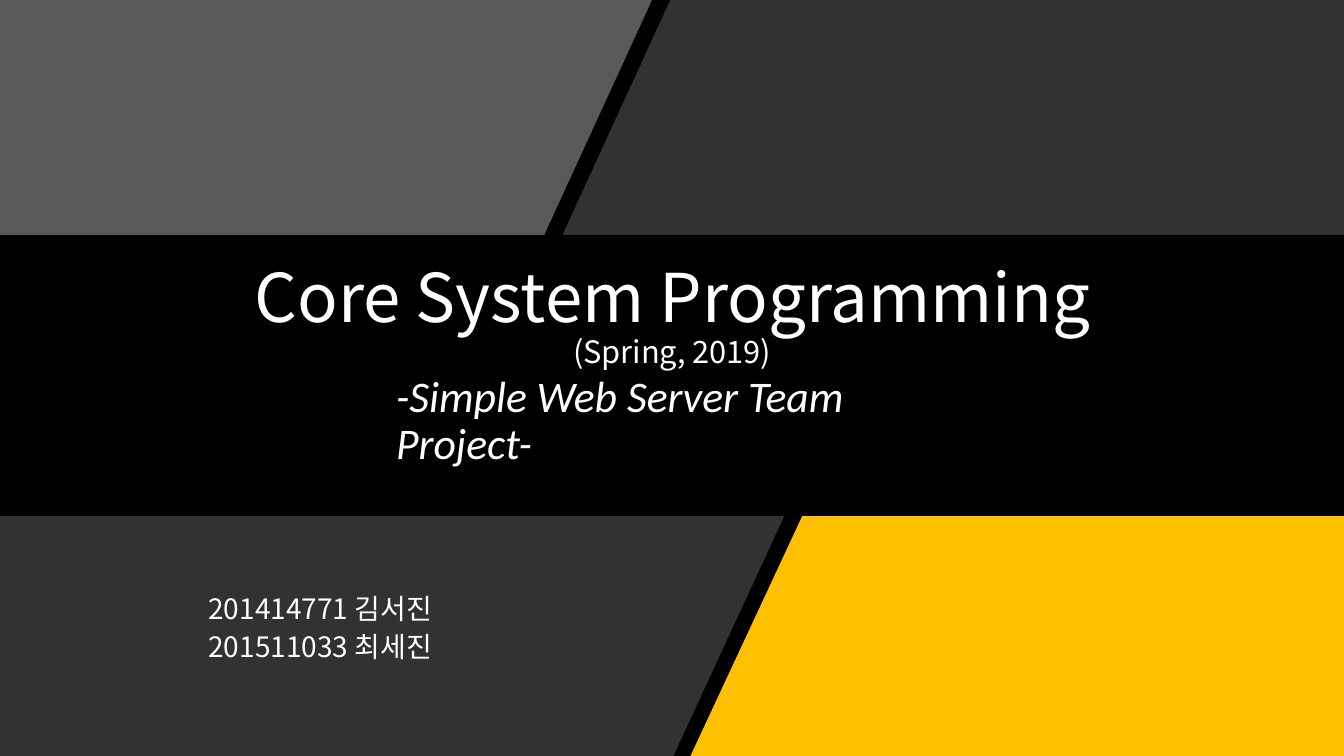
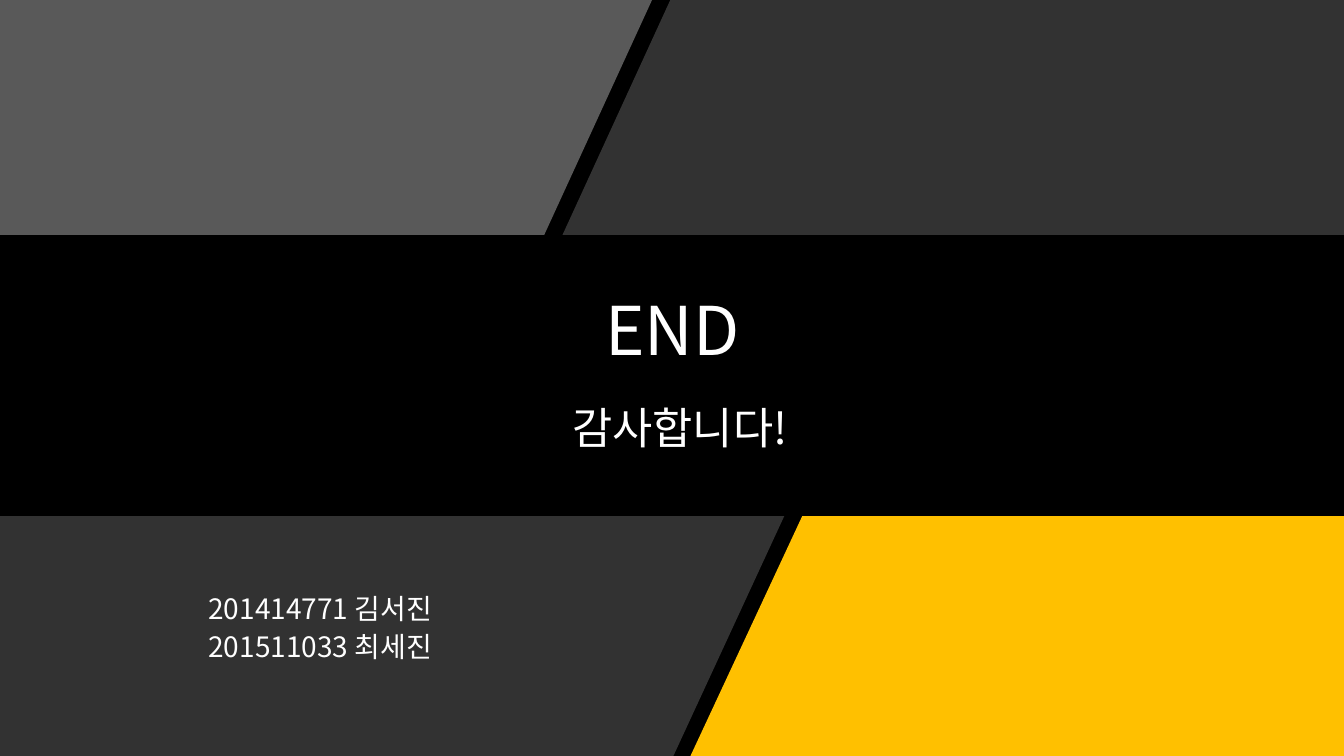
"""Build the opening and closing slides of a Core System Programming project deck."""
from lxml import etree
from pptx import Presentation
from pptx.dml.color import RGBColor
from pptx.enum.text import MSO_ANCHOR, PP_ALIGN
from pptx.oxml.ns import qn
from pptx.util import Pt

LEFT, CENTER = PP_ALIGN.LEFT, PP_ALIGN.CENTER
TOP, BOTTOM = MSO_ANCHOR.TOP, MSO_ANCHOR.BOTTOM
COLORS = {
    "background": "000000",
    "text": "FFFFFF",
    "gray": "595959",
    "veil": "7F7F7F",
    "accent": "FFC000",
}
KOREAN_FONT = "Noto Sans CJK KR"
WIDTH, HEIGHT = 960, 540
BAND_TOP, BAND_BOTTOM = 167.8, 368.6

PANELS = [
    ("gray", 100, [(0, 0), (465.8, 0), (388.8, BAND_TOP), (0, BAND_TOP)]),
    ("veil", 40, [(478.8, 0), (WIDTH, 0), (WIDTH, BAND_TOP), (401.8, BAND_TOP)]),
    ("accent", 100, [(573.1, BAND_BOTTOM), (WIDTH, BAND_BOTTOM), (WIDTH, HEIGHT), (493.2, HEIGHT)]),
    ("veil", 40, [(0, BAND_BOTTOM), (560.2, BAND_BOTTOM), (481, HEIGHT), (0, HEIGHT)]),
]
AUTHORS = [[("201414771 김서진", 20)], [("201511033 최세진", 20)]]
SLIDES = [
    {
        "title": [("Core System Programming", 48), ("(Spring, 2019)", 22)],
        "subtitle": "-Simple Web Server Team Project-",
        "subtitle_box": (275.8, 267.8, 432, 70.6),
        "subtitle_format": {"font": "Calibri", "italic": True},
    },
    {
        "title": [("END", 48)],
        "subtitle": "감사합니다!",
        "subtitle_box": (401.8, 257, 193.7, 70.6),
        "subtitle_format": {},
    },
]


def add_text(slide, box, paragraphs, font=KOREAN_FONT, italic=False, align=LEFT,
             anchor=BOTTOM, line_spacing=0.9, space_before=0):
    frame = slide.shapes.add_textbox(*(Pt(length) for length in box)).text_frame
    frame.word_wrap = True
    frame.vertical_anchor = anchor
    for number, lines in enumerate(paragraphs):
        paragraph = frame.add_paragraph() if number else frame.paragraphs[0]
        paragraph.alignment = align
        paragraph.line_spacing = line_spacing
        if number:
            paragraph.space_before = Pt(space_before)
        for position, (text, size) in enumerate(lines):
            if position:
                paragraph.add_line_break()
            run = paragraph.add_run()
            run.text = text
            run.font.size = Pt(size)
            run.font.italic = italic
            run.font.color.rgb = RGBColor.from_string(COLORS["text"])
            run.font.name = font
            east_asian = etree.SubElement(run.font._element, qn("a:ea"))
            east_asian.set("typeface", font)


def add_panel(slide, color, opacity, corners):
    points = [(Pt(x), Pt(y)) for x, y in corners]
    outline = slide.shapes.build_freeform(*points[0])
    outline.add_line_segments(points[1:], close=True)
    panel = outline.convert_to_shape()
    panel.shadow.inherit = False
    panel.line.fill.background()
    panel.fill.solid()
    panel.fill.fore_color.rgb = RGBColor.from_string(COLORS[color])
    if opacity < 100:
        fill_color = panel._element.spPr.find(qn("a:solidFill"))[0]
        etree.SubElement(fill_color, qn("a:alpha")).set("val", str(opacity * 1000))


deck = Presentation()
deck.slide_width, deck.slide_height = Pt(WIDTH), Pt(HEIGHT)
backdrop = deck.slide_master.background.fill
backdrop.solid()
backdrop.fore_color.rgb = RGBColor.from_string(COLORS["background"])

for content in SLIDES:
    slide = deck.slides.add_slide(deck.slide_layouts[6])
    for color, opacity, corners in PANELS:
        add_panel(slide, color, opacity, corners)
    add_text(slide, (157.7, 180.7, 645.1, 87.1), [content["title"]], align=CENTER)
    add_text(slide, content["subtitle_box"], [[(content["subtitle"], 31.2)]],
             **content["subtitle_format"])
    add_text(slide, (141.8, 423.4, 182.2, 61.2), AUTHORS, anchor=TOP,
             line_spacing=0.8, space_before=8)

deck.save("out.pptx")
